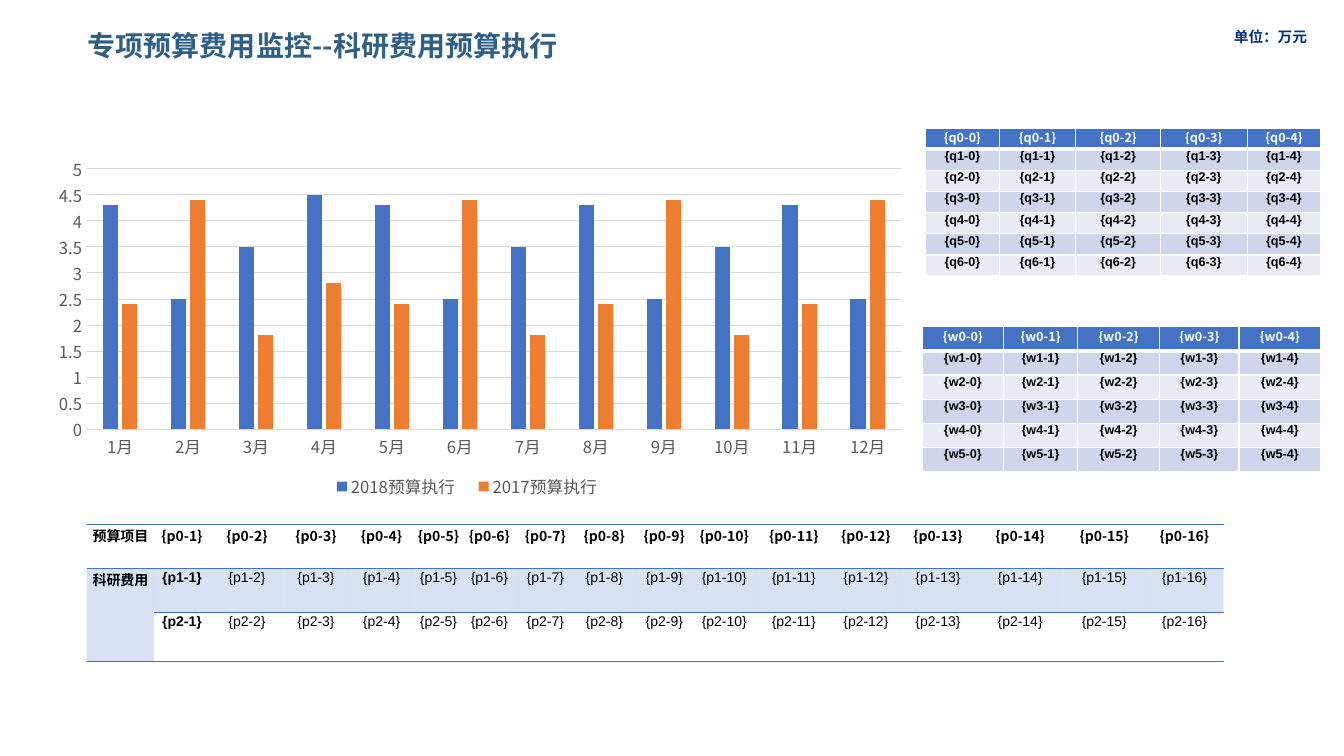
from lxml.etree import SubElement as Sub
from pptx import Presentation
from pptx.chart.data import CategoryChartData as ChartData
from pptx.dml.color import RGBColor
from pptx.enum.chart import XL_CHART_TYPE as Kind, XL_LEGEND_POSITION as Place, XL_TICK_MARK as Tick
from pptx.enum.text import MSO_ANCHOR as Anchor, MSO_AUTO_SIZE as Fit, PP_ALIGN as Align
from pptx.oxml.ns import qn
from pptx.util import Inches, Pt

NOTO, ARIAL = "Noto Sans CJK SC", "Arial"
BLUE, ORANGE, WHITE, BLACK = "4472C4", "ED7D31", "FFFFFF", "000000"
GRAY, GRID = "595959", "D9D9D9"
BANDS = "E9EBF5", "CFD5EA"
PLAIN = "{2D5ABB26-0587-4C30-8999-92F81FD0307C}"


def paint(color, code):
    """Set a colour from a hex string."""
    color.rgb = RGBColor.from_string(code)


def style(font, size, code, face=NOTO, bold=False):
    """Set size, colour, face and weight of a font."""
    font.size, font.name, font.bold = Pt(size), face, bold
    paint(font.color, code)


def write(frame, text, size, code, face=NOTO, bold=True, align=Align.LEFT):
    """Put one run of text in a frame, centred vertically."""
    frame.vertical_anchor = Anchor.MIDDLE
    para = frame.paragraphs[0]
    para.alignment = align
    run = para.add_run()
    run.text = text
    style(run.font, size, code, face, bold)
    Sub(run._r.get_or_add_rPr(), qn("a:ea"), typeface=NOTO)
    return para


def add_label(slide, box, text):
    """Add the small note that names the unit."""
    frame = slide.shapes.add_textbox(*map(Inches, box)).text_frame
    frame.word_wrap = True
    write(frame, text, 10.5, "003081").line_spacing = 0.9


def set_title(slide, box, text):
    """Move the title placeholder and fill it."""
    title = slide.shapes.title
    title.left, title.top, title.width, title.height = map(Inches, box)
    frame = title.text_frame
    frame.auto_size, frame.word_wrap = Fit.NONE, True
    write(frame, text, 20, "305F86").line_spacing = 0.9


def add_grid(slide, left, top, cols, rows):
    """Add a table without style and size its columns and rows."""
    frame = slide.shapes.add_table(len(rows), len(cols), Inches(left), Inches(top),
                                   Inches(sum(cols)), Inches(sum(rows)))
    grid = frame.table
    grid.first_row = grid.horz_banding = False
    grid._tbl.tblPr.find(qn("a:tableStyleId")).text = PLAIN
    for col, width in zip(grid.columns, cols):
        col.width = Inches(width)
    for row, height in zip(grid.rows, rows):
        row.height = Inches(height)
    return grid


def set_edges(cell, code, **widths):
    """Draw cell borders, with widths in points by side."""
    props = cell._tc.get_or_add_tcPr()
    for side in "LRTB":
        if side in widths:
            line = Sub(props, qn("a:ln" + side), w=str(Pt(widths[side])))
            Sub(Sub(line, qn("a:solidFill")), qn("a:srgbClr"), val=code)


def set_fill(cell, code, alpha=None):
    """Fill a cell, with opacity in percent if given."""
    cell.fill.solid()
    paint(cell.fill.fore_color, code)
    if alpha:
        tint = cell._tc.tcPr.find(".//" + qn("a:solidFill") + "[last()]/" + qn("a:srgbClr"))
        fill = cell._tc.tcPr.find(qn("a:solidFill"))
        tint = fill[0] if fill is not None else tint
        Sub(tint, qn("a:alpha"), val=str(alpha * 1000))


def pad(cell, side, low):
    """Set the cell margins."""
    cell.margin_left = cell.margin_right = cell.margin_top = Inches(side)
    cell.margin_bottom = Inches(low)


def add_bands(slide, key, left, top, cols, rows):
    """Add a banded table with a blue head row."""
    grid = add_grid(slide, left, top, cols, rows)
    for r in range(len(rows)):
        for c in range(len(cols)):
            cell = grid.cell(r, c)
            pad(cell, 0, 0)
            set_edges(cell, WHITE, L=1, R=1, T=3 if r == 1 else 1, B=1 if r else 3)
            set_fill(cell, BANDS[r % 2] if r else BLUE)
            write(cell.text_frame, f"{{{key}{r}-{c}}}", 9, BLACK if r else WHITE,
                  ARIAL if r else NOTO, align=Align.CENTER)


def add_budget(slide, left, top, cols, rows):
    """Add the wide budget table with rules above and below."""
    grid = add_grid(slide, left, top, cols, rows)
    names = "预算项目", "科研费用"
    for r in range(len(rows)):
        for c in range(len(cols)):
            cell = grid.cell(r, c)
            pad(cell, 0.01, 0)
            if r == 0:
                set_edges(cell, BLUE, T=1, B=1)
            elif r == 2:
                set_edges(cell, BLUE, B=1)
            elif c == 0:
                set_edges(cell, BLUE, T=1, B=1)
            else:
                set_edges(cell, BLUE, T=1)
            if r == 1:
                set_fill(cell, BLUE, 20)
            if c == 0 and r == 2:
                continue
            text = f"{{p{r}-{c}}}" if c else names[r]
            face = NOTO if c and r == 0 else ARIAL
            write(cell.text_frame, text, 10, BLACK, face, r == 0 or c < 2, Align.CENTER)
    grid.cell(1, 0).merge(grid.cell(2, 0))


def set_layout(part, spot, box, inner=False):
    """Place a chart part by fractions of the chart area."""
    for old in part.findall(qn("c:layout")):
        part.remove(old)
    lay = Sub(part, qn("c:layout"))
    part.insert(spot, lay)
    man = Sub(lay, qn("c:manualLayout"))
    if inner:
        Sub(man, qn("c:layoutTarget"), val="inner")
    for name in "xy":
        Sub(man, qn(f"c:{name}Mode"), val="edge")
    for name, size in zip("xywh", box):
        Sub(man, qn("c:" + name), val=str(size))


def add_bars(slide, box):
    """Add the monthly column chart."""
    data = ChartData()
    data.categories = [f"{month}月" for month in range(1, 13)]
    data.add_series("2018预算执行", [4.3, 2.5, 3.5, 4.5] + [4.3, 2.5, 3.5] * 2 + [4.3, 2.5])
    data.add_series("2017预算执行", [2.4, 4.4, 1.8, 2.8] + [2.4, 4.4, 1.8] * 2 + [2.4, 4.4])
    chart = slide.shapes.add_chart(Kind.COLUMN_CLUSTERED, *map(Inches, box), data).chart
    style(chart.font, 10, BLACK)
    chart.has_title = False
    plot = chart.plots[0]
    plot.gap_width, plot.overlap, plot.vary_by_categories = 219, -27, False
    for series, code in zip(plot.series, (BLUE, ORANGE)):
        series.format.fill.solid()
        paint(series.format.fill.fore_color, code)
    base, scale = chart.category_axis, chart.value_axis
    for axis in (base, scale):
        axis.major_tick_mark = axis.minor_tick_mark = Tick.NONE
        style(axis.tick_labels.font, 11.9, GRAY)
    scale.minimum_scale, scale.maximum_scale, scale.major_unit = 0, 5, 0.5
    scale.format.line.fill.background()
    scale.has_major_gridlines = True
    for line in (base.format.line, scale.major_gridlines.format.line):
        line.width = Pt(0.75)
        paint(line.color, GRID)
    chart.has_legend = True
    key = chart.legend
    key.position, key.include_in_layout = Place.BOTTOM, False
    style(key.font, 11.9, GRAY)
    set_layout(chart.element.find(".//" + qn("c:plotArea")), 0, (0.05, 0.02, 0.91, 0.57), True)
    set_layout(chart.element.find(".//" + qn("c:legend")), 1, (0.31, 0.68, 0.33, 0.07))


def main():
    """Build the slide and save it."""
    deck = Presentation()
    deck.slide_width, deck.slide_height = Inches(13.33), Inches(7.5)
    slide = deck.slides.add_slide(deck.slide_layouts[5])
    add_label(slide, (12.14, 0.24, 1.1, 0.26), "单位：万元")
    add_bands(slide, "w", 9.15, 3.24, (0.8, 0.74, 0.81, 0.79, 0.81), [0.24] * 6)
    add_bands(slide, "q", 9.18, 1.27, (0.73, 0.76, 0.84, 0.86, 0.73), [0.21] * 7)
    set_title(slide, (0.77, 0.14, 5.02, 0.66), "专项预算费用监控--科研费用预算执行")
    add_bars(slide, (0.41, 1.55, 8.89, 4.57))
    cols = (0.67, 0.55, 0.74, 0.63, 0.67, 0.46, 0.55, 0.56, 0.61,
            0.58, 0.61, 0.77, 0.66, 0.77, 0.86, 0.81, 0.78)
    add_budget(slide, 0.86, 5.2, cols, (0.44, 0.44, 0.48))
    deck.save("out.pptx")


main()
